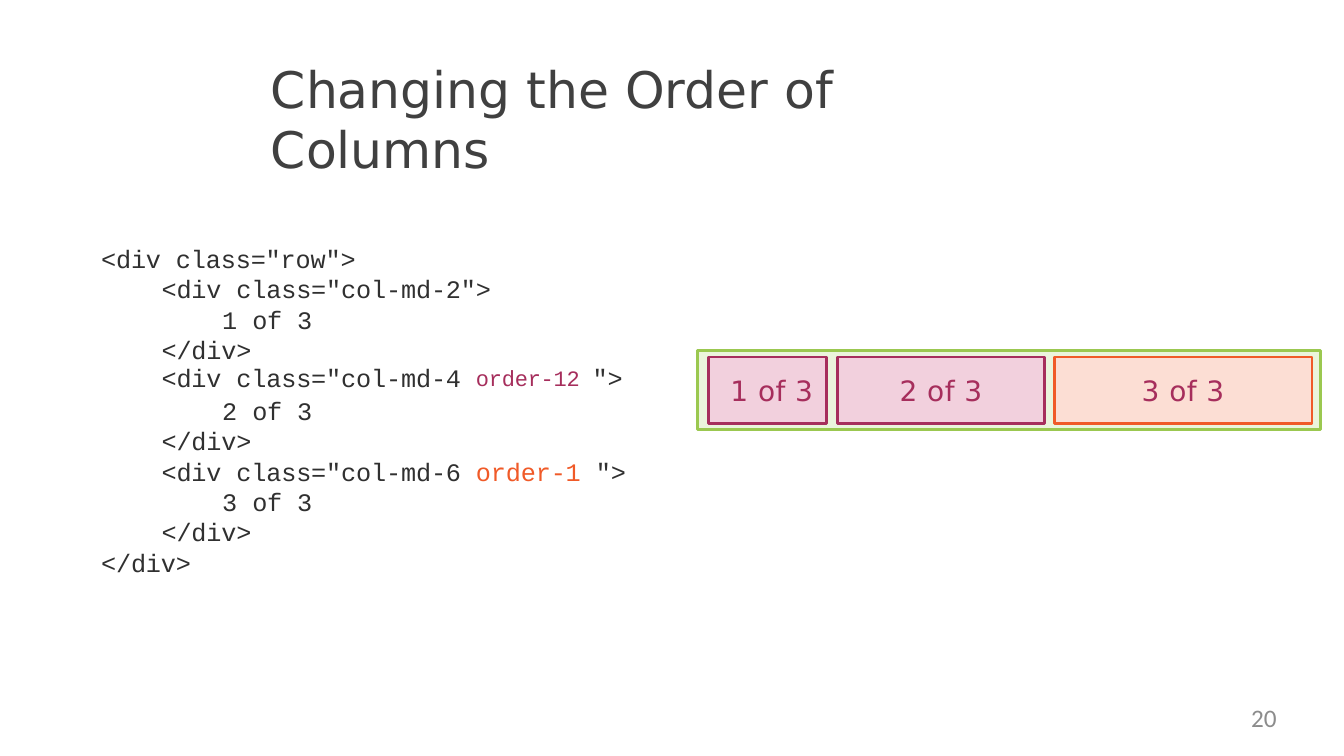
import pptx
import pptx.dml.color
import pptx.enum.shapes
import pptx.enum.text
import pptx.oxml.ns
import lxml.etree

Pt = pptx.util.Pt
ALIGN = pptx.enum.text.PP_ALIGN
ANCHOR = pptx.enum.text.MSO_ANCHOR
COLORS = {
    "title": "404040", "code": "303030", "number": "8C8C8C",
    "plum": "A62E5C", "pink": "F2D0DD",
    "orange": "F05A28", "peach": "FCDED4",
    "green": "9BC850", "mint": "EBF4DC",
}


class SlideBuilder:
    heading = {"name": "DejaVu Sans", "size": Pt(36), "color": "title"}
    code = {"name": "Courier New", "size": Pt(18), "color": "code", "spc": -10}
    label = {"name": "DejaVu Sans", "size": Pt(20), "color": "plum", "spc": 30}
    page = {"name": "Calibri", "size": Pt(18), "color": "number"}

    def __init__(self, slide):
        self.slide = slide

    def rgb(self, color):
        return pptx.dml.color.RGBColor.from_string(COLORS[color])

    def frame(self, shape, left_inset=0, anchor=ANCHOR.TOP):
        frame = shape.text_frame
        settings = {
            "word_wrap": True, "vertical_anchor": anchor,
            "margin_left": Pt(left_inset), "margin_top": 0,
            "margin_right": 0, "margin_bottom": 0,
        }
        for name, value in settings.items():
            setattr(frame, name, value)
        return frame

    def run(self, paragraph, text, style):
        run = paragraph.add_run()
        run.text = text
        for name, value in style.items():
            if name == "color":
                run.font.color.rgb = self.rgb(value)
            elif name in ("spc", "baseline"):
                run._r.get_or_add_rPr().set(name, str(value))
            else:
                setattr(run.font, name, value)

    def text(self, box, text, style, align=ALIGN.LEFT):
        frame = self.frame(self.slide.shapes.add_textbox(*map(Pt, box)))
        paragraph = frame.paragraphs[0]
        paragraph.alignment = align
        self.run(paragraph, text, style)

    def listing(self, box, lines):
        frame = self.frame(self.slide.shapes.add_textbox(*map(Pt, box)))
        for index, (indent, number, parts) in enumerate(lines):
            paragraph = frame.add_paragraph() if index else frame.paragraphs[0]
            paragraph.line_spacing = Pt(21.7)
            properties = paragraph._p.get_or_add_pPr()
            properties.set("marL", str(Pt(indent)))
            if number:
                properties.set("indent", str(Pt(-21.6)))
                bullet = lxml.etree.SubElement(properties, pptx.oxml.ns.qn("a:buAutoNum"))
                bullet.set("type", "arabicPlain")
                bullet.set("startAt", str(number))
            for text, changes in parts:
                self.run(paragraph, text, {**self.code, **changes})

    def rectangle(self, box, fill, line, text="", left_inset=0):
        kind = pptx.enum.shapes.MSO_SHAPE.RECTANGLE
        shape = self.slide.shapes.add_shape(kind, *map(Pt, box))
        shape.shadow.inherit = False
        shape.fill.solid()
        shape.fill.fore_color.rgb = self.rgb(fill)
        shape.line.color.rgb = self.rgb(line)
        shape.line.width = Pt(2)
        if text:
            paragraph = self.frame(shape, left_inset, ANCHOR.MIDDLE).paragraphs[0]
            paragraph.alignment = ALIGN.CENTER
            self.run(paragraph, text, self.label)


def main():
    deck = pptx.Presentation()
    deck.slide_width, deck.slide_height = Pt(960), Pt(540)
    builder = SlideBuilder(deck.slides.add_slide(deck.slide_layouts[6]))

    builder.text((193.5, 41.5, 566, 45), "Changing the Order of Columns", builder.heading)

    raised = {"size": Pt(27), "color": "plum", "baseline": 2000}
    columns = [
        [('<div class="col-md-2">', {})],
        [('<div class="col-md-4 ', {}), ("order-12 ", raised), ('">', {})],
        [('<div class="col-md-6 ', {}), ("order-1 ", {"color": "orange"}), ('">', {})],
    ]
    lines = [(0.7, 0, [('<div class="row">', {})])]
    for number, opening in enumerate(columns, 1):
        lines += [
            (43.9, 0, opening),
            (108.7, number, [("of 3", {})]),
            (43.9, 0, [("</div>", {})]),
        ]
    lines.append((0.7, 0, [("</div>", {})]))
    builder.listing((71.5, 173.5, 378, 240), lines)

    builder.rectangle((498, 250.3, 445.2, 56.6), "mint", "green")
    cells = [
        (506, 84.6, "pink", "plum", 6),
        (598, 148.3, "pink", "plum", 0),
        (753, 184.2, "peach", "orange", 0),
    ]
    for number, (left, width, fill, line, inset) in enumerate(cells, 1):
        builder.rectangle((left, 255, width, 47.5), fill, line, f"{number} of 3", inset)

    builder.text((691, 502, 221, 27), "20", builder.page, ALIGN.RIGHT)
    deck.save("out.pptx")


if __name__ == "__main__":
    main()
